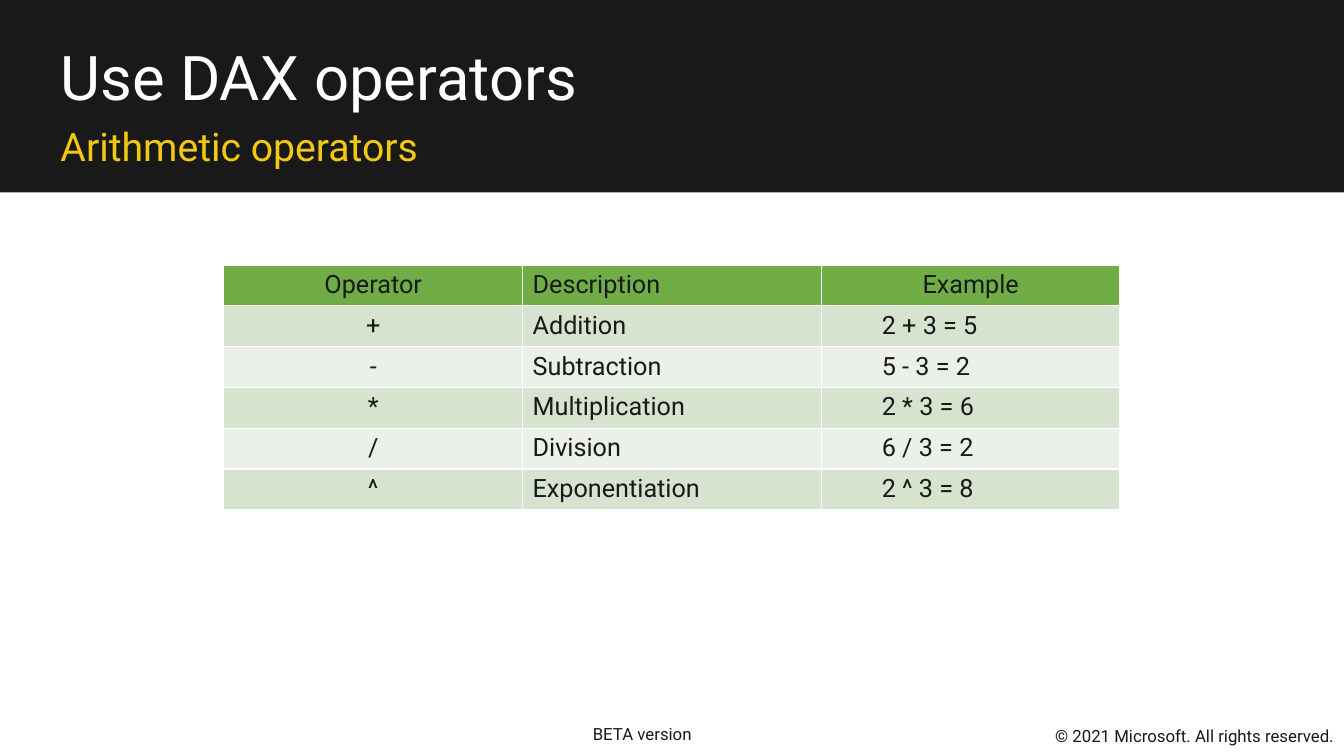
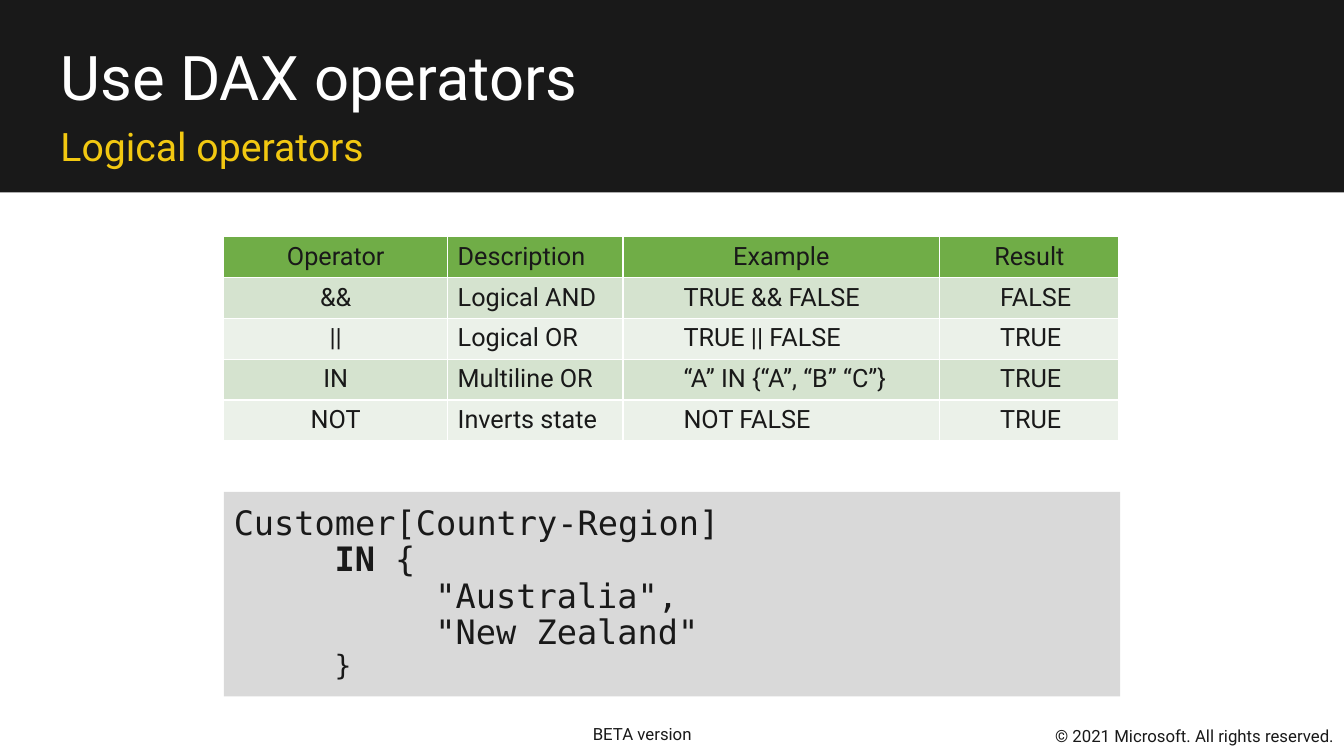
from lxml.etree import SubElement
from pptx import Presentation
from pptx.dml.color import RGBColor
from pptx.enum.shapes import MSO_SHAPE
from pptx.enum.text import MSO_ANCHOR, MSO_AUTO_SIZE, PP_ALIGN
from pptx.oxml.ns import qn
from pptx.util import Inches, Pt

DARK, WHITE, YELLOW = "191919", "FFFFFF", "F2C811"
HEADER_GREEN, ROW_GREENS = "70AD47", ("D5E3CF", "EBF1E9")
CODE_GREY = "D9D9D9"
FONT, CODE_FONT = "Roboto", "DejaVu Sans Mono"

SLIDE_WIDTH, SLIDE_HEIGHT = 13.33, 7.5
TABLE_LEFT, TABLE_WIDTH = 2.22, 8.89
ROW_HEIGHT = Inches(2.43) // 6
EXAMPLE_INDENT = 0.5

TITLE = "Use DAX operators"
FOOTERS = [
    ("BETA version", (4.88, 7.08, 2.98, 0.4), PP_ALIGN.CENTER),
    ("© 2021 Microsoft. All rights reserved.", (10.35, 7.1, 2.98, 0.4), PP_ALIGN.RIGHT),
]

ARITHMETIC = [
    ("Operator", "Description", "Example"),
    ("+", "Addition", "2 + 3 = 5"),
    ("-", "Subtraction", "5 - 3 = 2"),
    ("*", "Multiplication", "2 * 3 = 6"),
    ("/", "Division", "6 / 3 = 2"),
    ("^", "Exponentiation", "2 ^ 3 = 8"),
]
LOGICAL = [
    ("Operator", "Description", "Example", "Result"),
    ("&&", "Logical AND", "TRUE && FALSE", "FALSE"),
    ("||", "Logical OR", "TRUE || FALSE", "TRUE"),
    ("IN", "Multiline OR", "“A” IN {“A”, “B” “C”}", "TRUE"),
    ("NOT", "Inverts state", "NOT FALSE", "TRUE"),
]
# Each code line: indent in inches, then spans of (text, bold, size)
CODE = [
    (0, [("Customer[Country-Region]", False, 24)]),
    (1, [("IN", True, 24), (" {", False, 24)]),
    (2, [('"Australia",', False, 24)]),
    (2, [('"New Zealand"', False, 24)]),
    (1, [("}", False, 20)]),
]


def colour(value):
    return RGBColor.from_string(value)


def place(box, left, top, width, height):
    box.left, box.top = Inches(left), Inches(top)
    box.width, box.height = Inches(width), Inches(height)


def write(para, text, *, size, color=DARK, font=FONT, bold=False,
          align=PP_ALIGN.LEFT, indent=0, spacing=1.0):
    """Add a formatted span to a paragraph and set the paragraph's layout."""
    para.alignment = align
    para.line_spacing = spacing
    para.space_before = para.space_after = Pt(0)
    properties = para._p.get_or_add_pPr()
    properties.set("marL", str(Inches(indent)))
    properties.set("indent", "0")
    if properties.find(qn("a:buNone")) is None:
        SubElement(properties, qn("a:buNone"))
    span = para.add_run()
    span.text = text
    span.font.name, span.font.size, span.font.bold = font, Pt(size), bold
    span.font.color.rgb = colour(color)


def prepare_frame(box, anchor):
    frame = box.text_frame
    frame.word_wrap = True
    frame.auto_size = MSO_AUTO_SIZE.NONE
    frame.vertical_anchor = anchor
    return frame


def add_rectangle(slide, bounds, fill):
    box = slide.shapes.add_shape(MSO_SHAPE.RECTANGLE, *map(Inches, bounds))
    box.fill.solid()
    box.fill.fore_color.rgb = colour(fill)
    box.line.fill.background()
    box.shadow.inherit = False
    return box


def add_page(deck, subtitle):
    """Add a slide with the shared band, headings and footers."""
    slide = deck.slides.add_slide(deck.slide_layouts[1])
    title, body = slide.shapes.title, slide.placeholders[1]
    band = add_rectangle(slide, (0, 0, SLIDE_WIDTH, 1.91), DARK)
    title.element.addprevious(band.element)

    headings = [
        (title, TITLE, (0.5, 0.42, 12.29, 0.76), MSO_ANCHOR.TOP, 44, WHITE),
        (body, subtitle, (0.5, 1.18, 12.29, 0.59), MSO_ANCHOR.MIDDLE, 28, YELLOW),
    ]
    for box, text, bounds, anchor, size, color in headings:
        place(box, *bounds)
        frame = prepare_frame(box, anchor)
        write(frame.paragraphs[0], text, size=size, color=color, spacing=0.9)
    for text, bounds, align in FOOTERS:
        box = slide.shapes.add_textbox(*map(Inches, bounds))
        frame = prepare_frame(box, MSO_ANCHOR.MIDDLE)
        write(frame.paragraphs[0], text, size=12, align=align)
    return slide


def add_operator_table(slide, rows, top, widths):
    table = slide.shapes.add_table(
        len(rows), len(widths), Inches(TABLE_LEFT), Inches(top),
        Inches(TABLE_WIDTH), ROW_HEIGHT * len(rows)).table
    for column, width in zip(table.columns, widths):
        column.width = Inches(width)
    for row_index, row in enumerate(rows):
        table.rows[row_index].height = ROW_HEIGHT
        is_header = row_index == 0
        fill = HEADER_GREEN if is_header else ROW_GREENS[(row_index - 1) % 2]
        for column_index, text in enumerate(row):
            cell = table.cell(row_index, column_index)
            cell.fill.solid()
            cell.fill.fore_color.rgb = colour(fill)
            centred = column_index == 0 or (is_header and column_index > 1)
            indented = column_index > 1 and not is_header
            write(cell.text_frame.paragraphs[0], text, size=18,
                  align=PP_ALIGN.CENTER if centred else PP_ALIGN.LEFT,
                  indent=EXAMPLE_INDENT if indented else 0)


def add_code_box(slide, lines, top, height):
    box = add_rectangle(slide, (TABLE_LEFT, top, TABLE_WIDTH, height), CODE_GREY)
    frame = prepare_frame(box, MSO_ANCHOR.MIDDLE)
    for index, (indent, spans) in enumerate(lines):
        para = frame.add_paragraph() if index else frame.paragraphs[0]
        for text, bold, size in spans:
            write(para, text, size=size, font=CODE_FONT, bold=bold,
                  indent=indent, spacing=0.9)


def main():
    deck = Presentation()
    deck.slide_width, deck.slide_height = Inches(SLIDE_WIDTH), Inches(SLIDE_HEIGHT)

    arithmetic = add_page(deck, "Arithmetic operators")
    add_operator_table(arithmetic, ARITHMETIC, 2.63, [TABLE_WIDTH / 3] * 3)

    logical = add_page(deck, "Logical operators")
    add_operator_table(logical, LOGICAL, 2.35, [2.22, 1.74, 3.14, 1.78])
    add_code_box(logical, CODE, 4.88, 2.03)

    deck.save("out.pptx")


if __name__ == "__main__":
    main()
